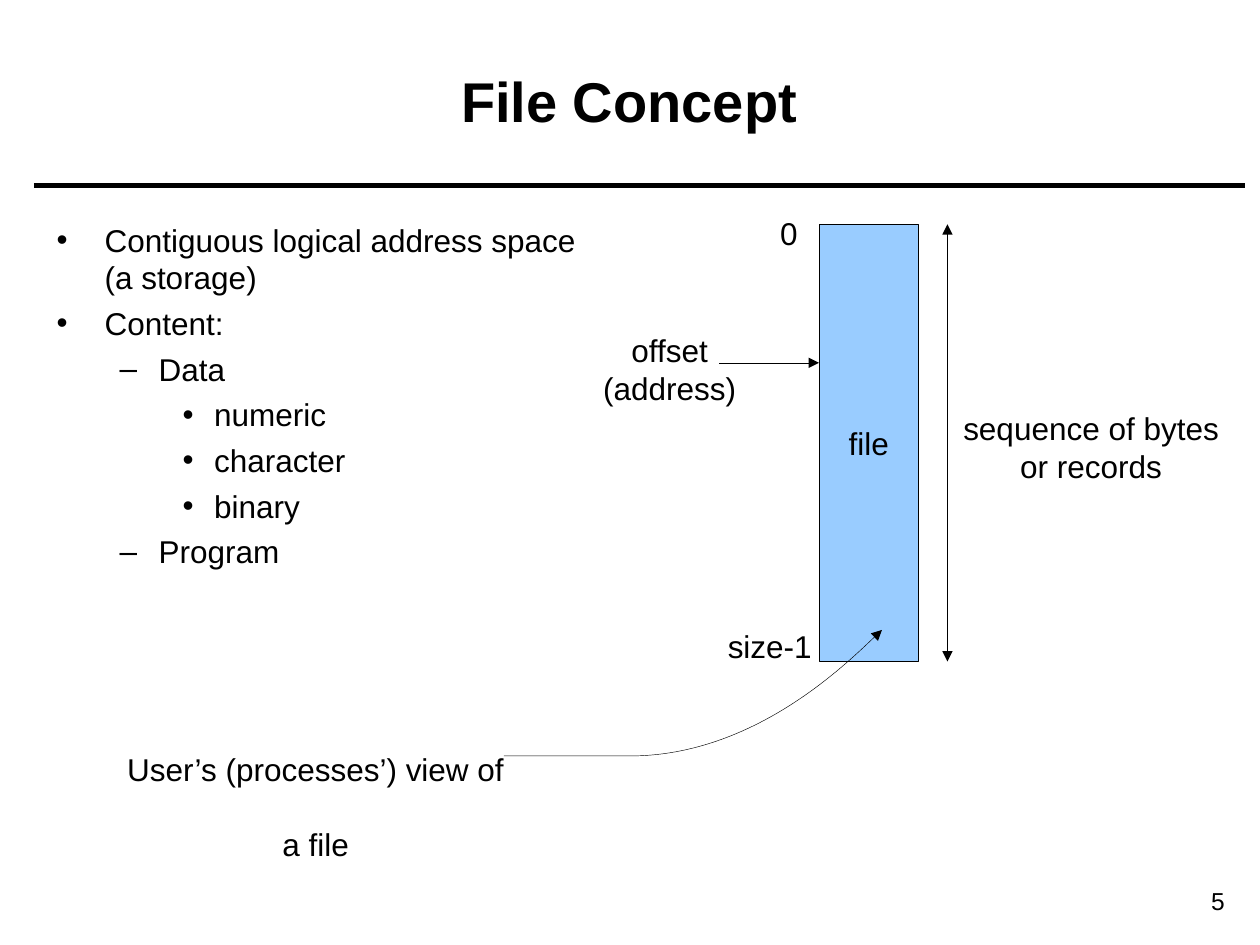
from dataclasses import dataclass

from lxml import etree
from pptx import Presentation
from pptx import util as u
from pptx.dml.color import RGBColor
from pptx.enum import shapes, text
from pptx.oxml import ns


@dataclass(frozen=True)
class Theme:
    font: str = "Arial"
    ink: RGBColor = RGBColor(0, 0, 0)
    file_fill: RGBColor = RGBColor(0x99, 0xCC, 0xFF)
    title_size: int = 32
    text_size: int = 18
    number_size: int = 14
    rule_width: float = 3
    thin_width: float = 0.25


THEME = Theme()
BULLETS = [("•", 0.38, 0.38), ("–", 0.81, 0.31), ("•", 1.25, 0.25)]
TOPICS = [
    (0, "Contiguous logical address space\v(a storage)"),
    (0, "Content:"),
    (1, "Data"),
    (2, "numeric"),
    (2, "character"),
    (2, "binary"),
    (1, "Program"),
]


def inches(*lengths):
    return [u.Inches(length) for length in lengths]


def place(shape, box):
    shape.left, shape.top, shape.width, shape.height = inches(*box)


def style(para, size=THEME.text_size, align=text.PP_ALIGN.CENTER, bold=False):
    para.alignment = align
    para.font.name = THEME.font
    para.font.size = u.Pt(size)
    para.font.bold = bold
    para.font.color.rgb = THEME.ink


def write(frame, lines, gap=0, **look):
    frame.word_wrap = False
    frame.auto_size = text.MSO_AUTO_SIZE.NONE
    frame.text = "\n".join(lines)
    for para in frame.paragraphs:
        style(para, **look)
    for para in frame.paragraphs[1:]:
        para.space_before = u.Pt(gap)


def add_label(page, box, *lines, **look):
    label = page.shapes.add_textbox(*inches(*box))
    write(label.text_frame, lines, **look)


def add_arrowheads(line, ends):
    outline = line.line._get_or_add_ln()
    for end in ends:
        etree.SubElement(outline, ns.qn(f"a:{end}"), type="triangle")


def add_line(page, start, end, width=THEME.thin_width, ends=()):
    line = page.shapes.add_connector(
        shapes.MSO_CONNECTOR.STRAIGHT, *inches(*start, *end))
    line.line.color.rgb = THEME.ink
    line.line.width = u.Pt(width)
    add_arrowheads(line, ends)
    etree.SubElement(line._element.spPr, ns.qn("a:effectLst"))


def add_curve(page, points):
    builder = page.shapes.build_freeform(*points[0], scale=u.Inches(1))
    builder.add_line_segments(points[1:], close=False)
    curve = builder.convert_to_shape()
    outline = next(curve._element.iter(ns.qn("a:path")))
    steps = outline.findall(ns.qn("a:lnTo"))
    for first in range(0, len(steps), 3):
        bend = etree.SubElement(outline, ns.qn("a:cubicBezTo"))
        for step in steps[first:first + 3]:
            bend.append(step[0])
            outline.remove(step)
    curve.shadow.inherit = False
    curve.fill.background()
    curve.line.color.rgb = THEME.ink
    curve.line.width = u.Pt(THEME.thin_width)
    add_arrowheads(curve, ["tailEnd"])


def add_bullet(para, level):
    mark, left, hang = BULLETS[level]
    para.level = level
    props = para._p.get_or_add_pPr()
    props.set("marL", str(u.Inches(left)))
    props.set("indent", str(-u.Inches(hang)))
    color = etree.SubElement(props, ns.qn("a:buClr"))
    etree.SubElement(color, ns.qn("a:srgbClr"), val=str(THEME.ink))
    etree.SubElement(props, ns.qn("a:buFont"), typeface=THEME.font)
    etree.SubElement(props, ns.qn("a:buChar"), char=mark)


def add_header(page, box):
    left, top, width, height = box
    title = page.shapes.title
    place(title, box)
    write(title.text_frame, ["File Concept"], size=THEME.title_size, bold=True)
    title.text_frame.vertical_anchor = text.MSO_ANCHOR.MIDDLE
    rule = top + height + 0.05
    add_line(page, (left - 0.08, rule), (left + width + 0.24, rule),
             THEME.rule_width)


def add_topics(page, box):
    body = page.placeholders[1]
    place(body, box)
    frame = body.text_frame
    frame.auto_size = text.MSO_AUTO_SIZE.NONE
    frame.text = "\n".join(topic for _, topic in TOPICS)
    for index, (para, (level, _)) in enumerate(zip(frame.paragraphs, TOPICS)):
        add_bullet(para, level)
        para.space_before = u.Pt(4.5 if index else 0)
        style(para, align=text.PP_ALIGN.LEFT)


def add_file_diagram(page, box):
    left, top, width, height = box
    bottom = top + height
    block = page.shapes.add_shape(
        shapes.MSO_SHAPE.RECTANGLE, *inches(*box))
    block.shadow.inherit = False
    block.fill.solid()
    block.fill.fore_color.rgb = THEME.file_fill
    block.line.color.rgb = THEME.ink
    block.line.width = u.Pt(THEME.thin_width)
    write(block.text_frame, ["file"])
    block.text_frame.vertical_anchor = text.MSO_ANCHOR.MIDDLE

    span = left + width + 0.23
    add_line(page, (span, top), (span, bottom), ends=["headEnd", "tailEnd"])
    add_label(page, (span - 0.01, top + 1.42, 2.3, 0.7),
              "sequence of bytes", "or records")

    add_label(page, (left - 0.41, top - 0.13, 0.34, 0.4), "0")
    add_label(page, (left - 0.82, bottom - 0.32, 0.86, 0.4), "size-1")

    offset = top + 1.1
    add_line(page, (left - 0.79, offset), (left, offset), ends=["tailEnd"])
    add_label(page, (left - 1.81, offset - 0.3, 1.25, 0.7),
              "offset", "(address)")


def add_user_view(page, box):
    add_label(page, box, "User’s (processes’) view of", "a file", gap=21.5)
    add_curve(page, [(4.06, 6.11), (4.53, 6.18), (5.01, 6.24), (5.47, 6.11),
                     (5.93, 5.98), (6.61, 5.42), (6.81, 5.32)])


def add_page_number(page, box):
    add_label(page, box, "5", size=THEME.number_size,
              align=text.PP_ALIGN.RIGHT)


def main():
    deck = Presentation()
    deck.slide_width, deck.slide_height = inches(10, 7.5)
    page = deck.slides.add_slide(deck.slide_layouts[1])
    add_header(page, (0.35, 0.17, 9.29, 1.25))
    add_topics(page, (0.35, 1.7, 9.29, 5.12))
    add_file_diagram(page, (6.5, 1.78, 0.79, 3.47))
    add_user_view(page, (0.88, 5.9, 3.25, 0.7))
    add_page_number(page, (8.78, 6.98, 1.04, 0.34))
    deck.save("out.pptx")


if __name__ == "__main__":
    main()
